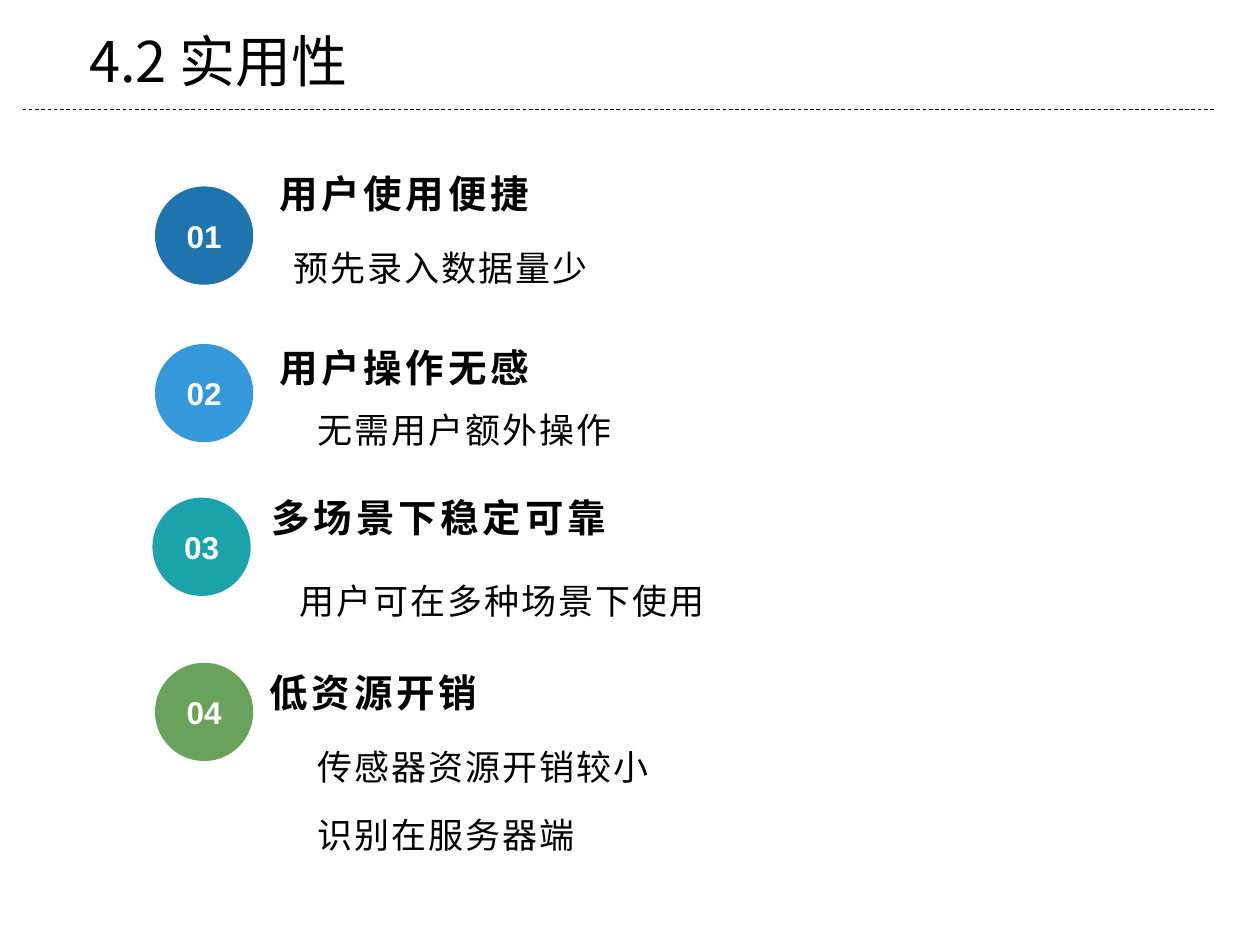
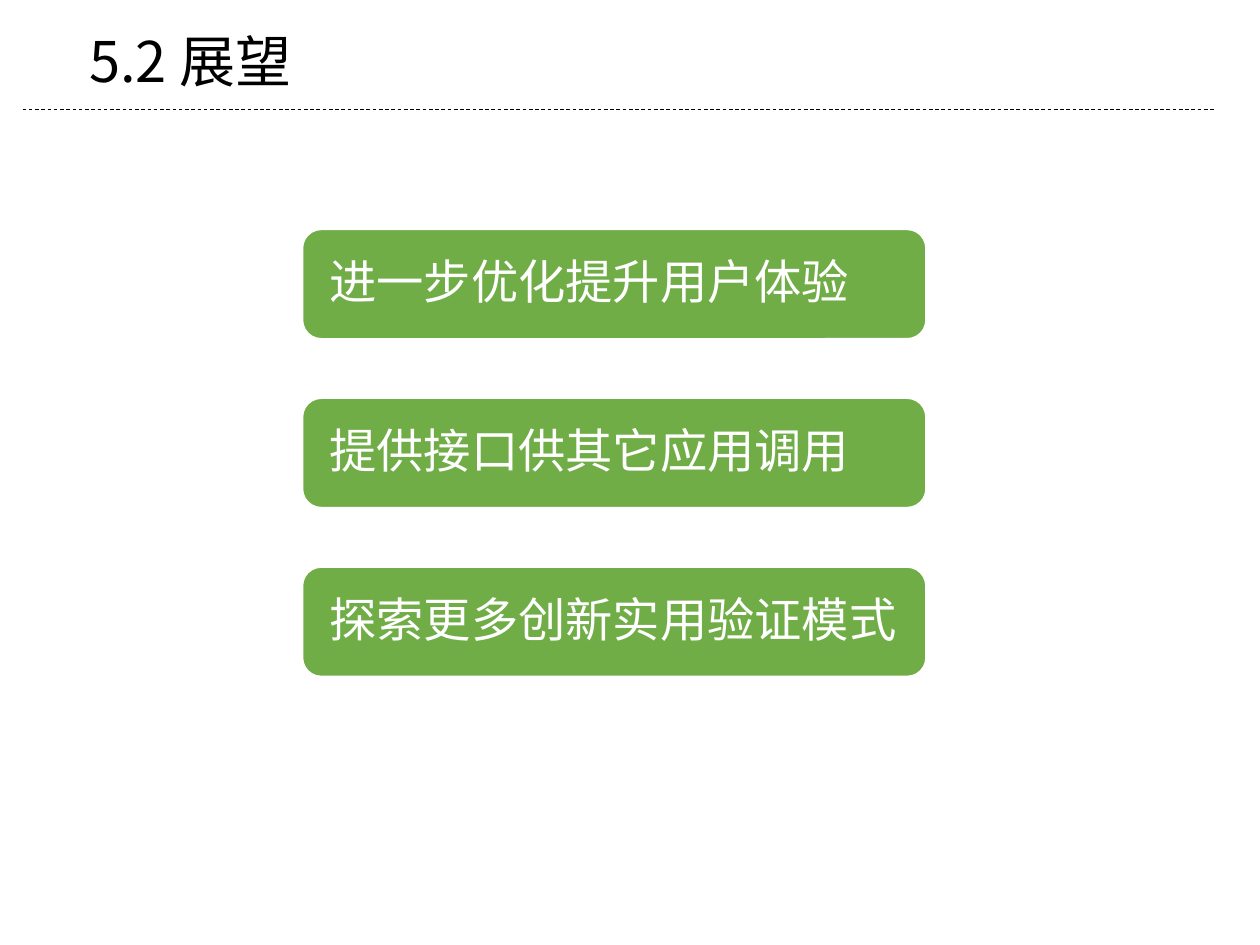
from lxml.etree import SubElement
from pptx import Presentation
from pptx.dml.color import RGBColor
from pptx.enum.dml import MSO_LINE
from pptx.enum.shapes import MSO_CONNECTOR, MSO_SHAPE
from pptx.enum.text import MSO_ANCHOR as Anchor, MSO_AUTO_SIZE, PP_ALIGN as Align
from pptx.oxml.ns import qn
from pptx.util import Inches, Pt

# Content
PRACTICALITY_TITLE = "4.2 实用性"
# number, colour, circle (left, top), heading, heading box, heading alignment,
# details, details box, details line spacing
ADVANTAGES = [
    ("01", "1F74AD", (1.23, 1.48), "用户使用便捷", (2.01, 1.39, 2.26, 0.33), Align.RIGHT,
     ["预先录入数据量少"], (2.26, 1.82, 2.98, 0.68), 1.4),
    ("02", "3498DB", (1.23, 2.73), "用户操作无感", (2.01, 2.77, 2.26, 0.33), Align.RIGHT,
     ["无需用户额外操作"], (2.45, 3.11, 2.98, 0.68), 1.4),
    ("03", "1AA3AA", (1.21, 3.95), "多场景下稳定可靠", (1.94, 3.86, 2.94, 0.43), Align.RIGHT,
     ["用户可在多种场景下使用"], (2.31, 4.4, 4.01, 0.65), 1.6),
    ("04", "69A35B", (1.23, 5.26), "低资源开销", (2.07, 5.25, 2.94, 0.43), Align.LEFT,
     ["传感器资源开销较小", "识别在服务器端"], (2.45, 5.72, 3.12, 1.03), 1.6),
]
OUTLOOK_TITLE = "5.2 展望"
OUTLOOK = ["进一步优化提升用户体验", "提供接口供其它应用调用", "探索更多创新实用验证模式"]

# Shared style
BLACK, WHITE, GREEN = "000000", "FFFFFF", "70AD47"
LATIN, CJK = "Arial", "Noto Sans CJK SC"
CIRCLE = 0.78
BAR_LEFT, BAR_TOP, BAR_WIDTH, BAR_HEIGHT, BAR_PITCH = 2.4, 1.82, 4.95, 0.87, 1.34
BAR_RADIUS = 0.15
# The rounded corners add about 0.04 to each side inset
BAR_INSETS = (0.17, 0, 0.17, 0)


def color(hex_code):
    return RGBColor.from_string(hex_code)


def write(shape, lines, size, hex_code, font=LATIN, bold=False, align=Align.LEFT,
          anchor=Anchor.TOP, insets=(0.1, 0.05, 0.1, 0.05), line_spacing=None, tracking=0):
    frame = shape.text_frame
    frame.word_wrap = True
    frame.vertical_anchor = anchor
    (frame.margin_left, frame.margin_top,
     frame.margin_right, frame.margin_bottom) = map(Inches, insets)
    frame.text = "\n".join(lines)
    for paragraph in frame.paragraphs:
        paragraph.alignment = align
        paragraph.line_spacing = line_spacing
        paragraph.font.name = font
        paragraph.font.size = Pt(size)
        paragraph.font.bold = bold
        paragraph.font.color.rgb = color(hex_code)
        # East Asian font and letter spacing
        for run in paragraph.runs:
            properties = run._r.get_or_add_rPr()
            SubElement(properties, qn("a:ea")).set("typeface", CJK)
            if tracking:
                properties.set("spc", str(round(tracking * 100)))
    return frame


def add_text(slide, box, lines, size, **style):
    return write(slide.shapes.add_textbox(*map(Inches, box)), lines, size, BLACK, **style)


def add_filled(slide, preset, box, fill):
    shape = slide.shapes.add_shape(preset, *map(Inches, box))
    shape.shadow.inherit = False
    shape.fill.solid()
    shape.fill.fore_color.rgb = color(fill)
    shape.line.fill.background()
    return shape


def add_titled_slide(deck, title):
    slide = deck.slides.add_slide(deck.slide_layouts[6])
    rule = slide.shapes.add_connector(
        MSO_CONNECTOR.STRAIGHT, *map(Inches, (0.18, 0.87, 9.64, 0.87)))
    rule.line.color.rgb = color(BLACK)
    rule.line.width = Pt(0.5)
    rule.line.dash_style = MSO_LINE.DASH
    SubElement(rule._element.spPr, qn("a:effectLst"))
    frame = add_text(slide, (0.61, 0.16, 8.57, 0.64), [title], 32, font=CJK)
    frame.auto_size = MSO_AUTO_SIZE.SHAPE_TO_FIT_TEXT
    return slide


def build_practicality(deck):
    slide = add_titled_slide(deck, PRACTICALITY_TITLE)
    for (number, fill, corner, heading, heading_box, align,
         details, details_box, spacing) in ADVANTAGES:
        badge = add_filled(slide, MSO_SHAPE.OVAL, (*corner, CIRCLE, CIRCLE), fill)
        write(badge, [number], 18, WHITE, bold=True, align=Align.CENTER,
              anchor=Anchor.MIDDLE, insets=(0, 0, 0, 0))
        add_text(slide, heading_box, [heading], 22, bold=True, align=align,
                 anchor=Anchor.BOTTOM, insets=(0.07, 0.04, 0.07, 0),
                 line_spacing=1.2, tracking=2.2)
        add_text(slide, details_box, details, 20, insets=(0.07, 0, 0.07, 0.04),
                 line_spacing=spacing, tracking=1.1)


def build_outlook(deck):
    slide = add_titled_slide(deck, OUTLOOK_TITLE)
    for row, goal in enumerate(OUTLOOK):
        box = (BAR_LEFT, BAR_TOP + row * BAR_PITCH, BAR_WIDTH, BAR_HEIGHT)
        bar = add_filled(slide, MSO_SHAPE.ROUNDED_RECTANGLE, box, GREEN)
        bar.adjustments[0] = BAR_RADIUS / BAR_HEIGHT
        bar.line.color.rgb = color(WHITE)
        bar.line.width = Pt(1)
        write(bar, [goal], 27, WHITE, anchor=Anchor.MIDDLE,
              insets=BAR_INSETS, line_spacing=0.9)


def main():
    deck = Presentation()
    deck.slide_width, deck.slide_height = Inches(10), Inches(7.5)
    build_practicality(deck)
    build_outlook(deck)
    deck.save("out.pptx")


if __name__ == "__main__":
    main()
